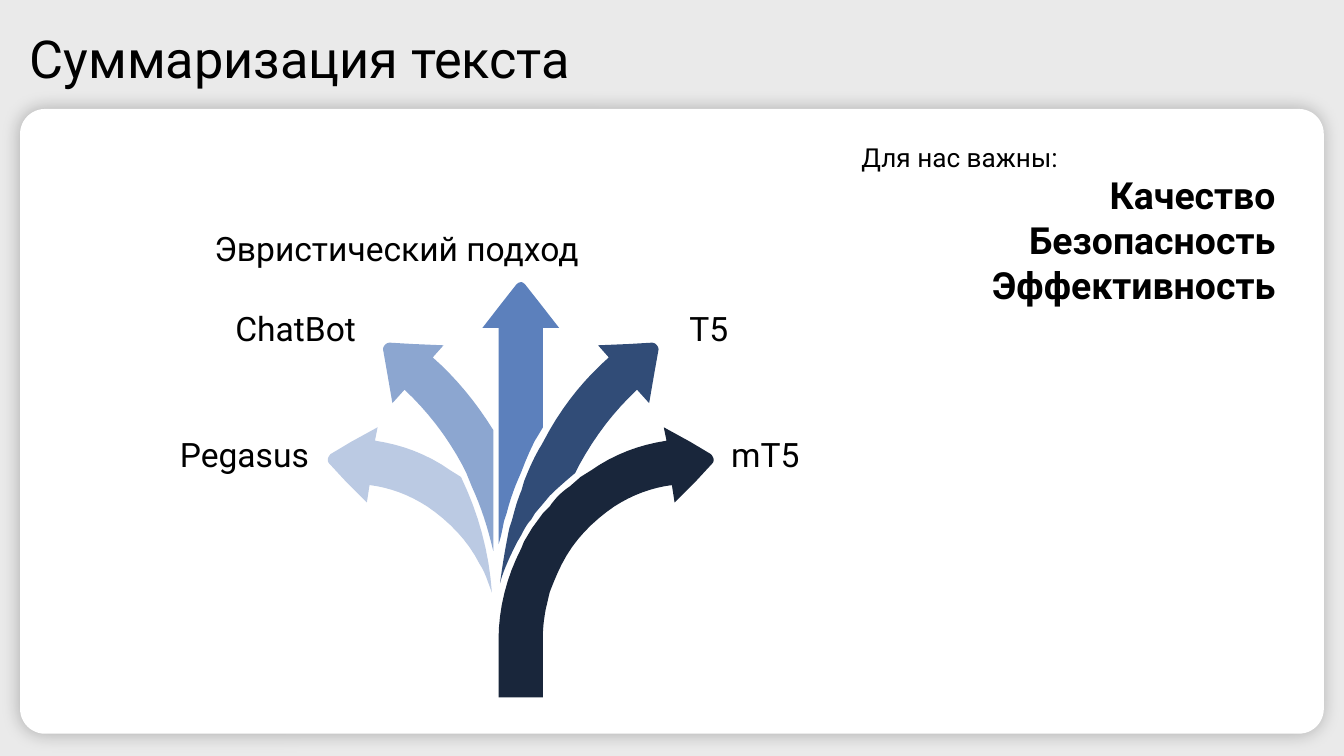
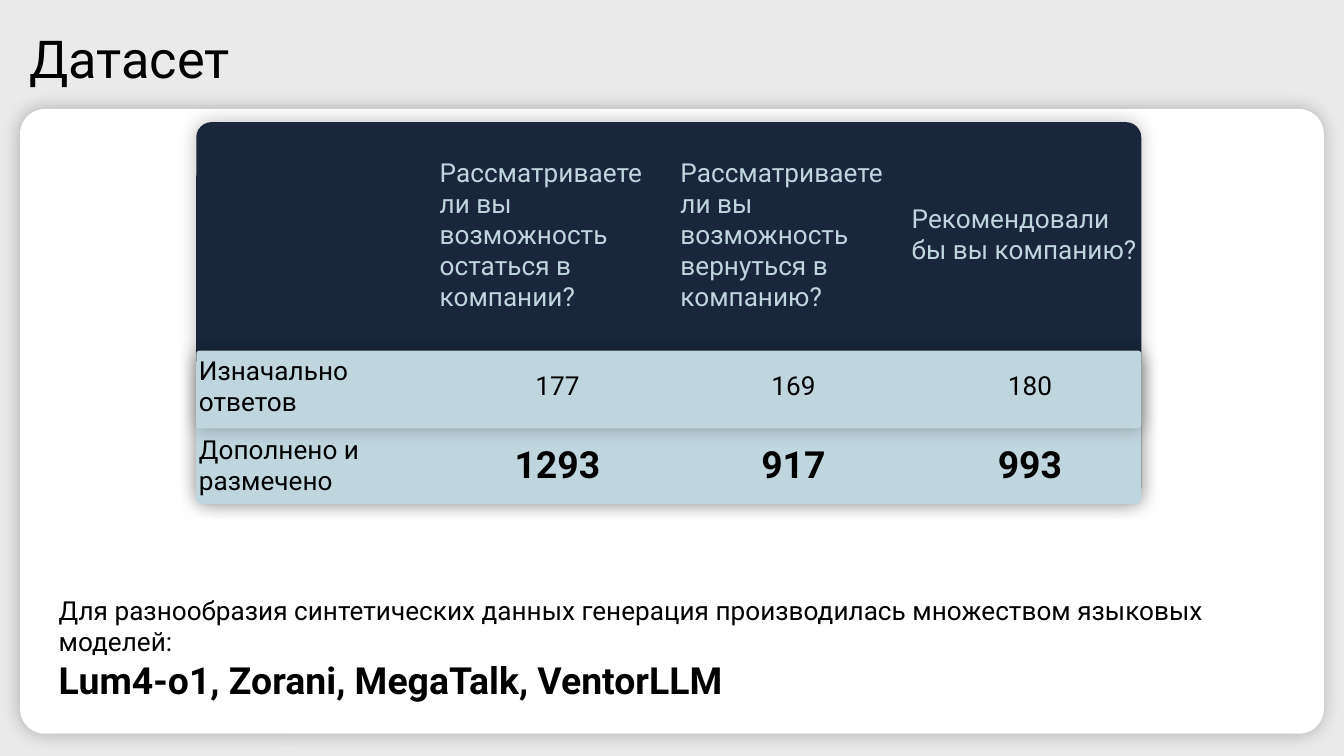
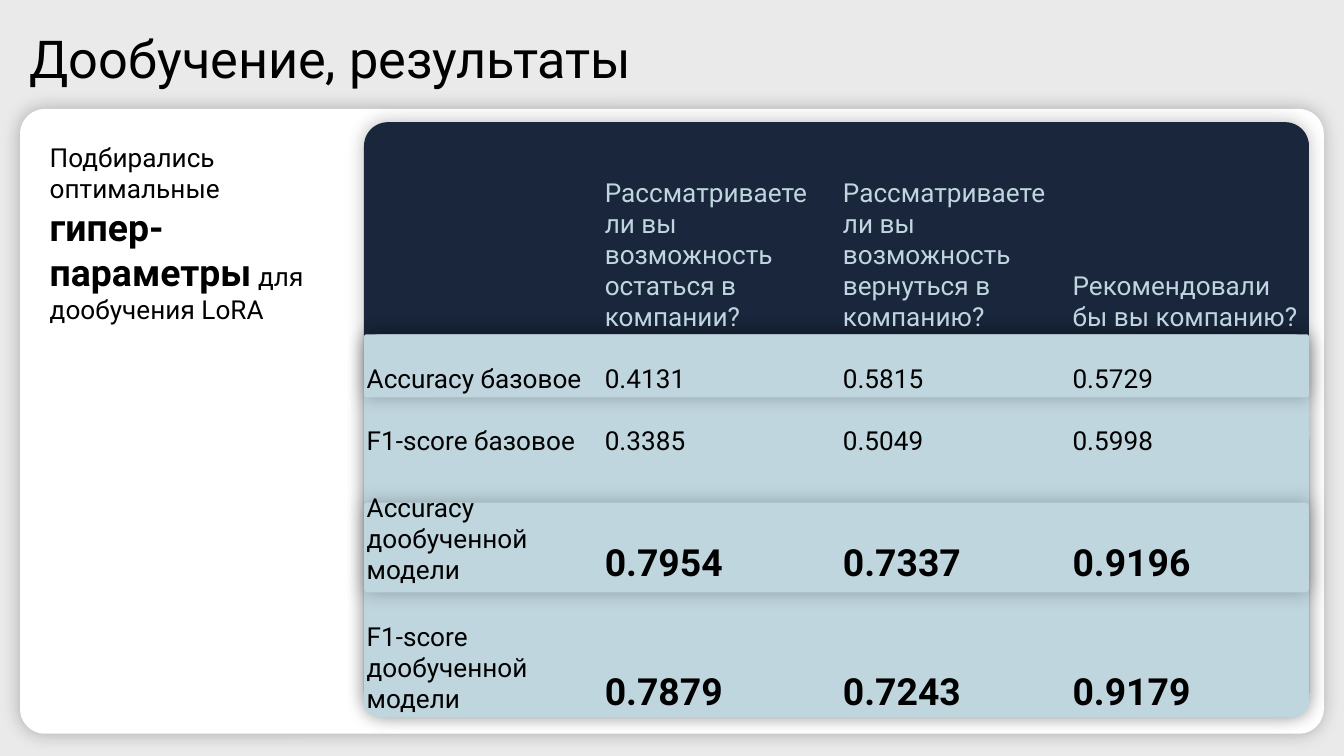
"""Builds three slides on text summarization, its data set and tuning results."""
from lxml import etree
from pptx import Presentation
from pptx.dml.color import RGBColor
from pptx.enum.shapes import MSO_SHAPE
from pptx.enum.text import MSO_ANCHOR, MSO_AUTO_SIZE, PP_ALIGN
from pptx.oxml.ns import qn
from pptx.util import Cm, Pt

LEFT, MID, RIGHT = PP_ALIGN.LEFT, PP_ALIGN.CENTER, PP_ALIGN.RIGHT
TOP, CENTER, LOW = MSO_ANCHOR.TOP, MSO_ANCHOR.MIDDLE, MSO_ANCHOR.BOTTOM
ROUND, FIXED = MSO_SHAPE.ROUNDED_RECTANGLE, MSO_AUTO_SIZE.NONE

FONT = "Roboto"
BODY, LABEL, BIG, HEAD = 14, 18, 20, 28
PLAIN_GRID = "{2D5ABB26-0587-4C30-8999-92F81FD0307C}"
INK = {"page": "EAEAEA", "card": "FFFFFF", "text": "000000", "navy": "19263B",
       "ice": "C0D6DF", "pale": "BBCAE3", "sky": "8CA6D0", "blue": "5C80BC",
       "deep": "314C77"}
CARD = (0.38, 2.06, 24.64, 11.81)
TITLE = (0.38, 0.3, 23.39, 1.73)
PANEL_WIDTH = 17.86

ASK = ["", "Рассматриваете ли вы возможность остаться в компании?",
       "Рассматриваете ли вы возможность вернуться в компанию?",
       "Рекомендовали бы вы компанию?"]

SLIDES = [
    {"title": "Суммаризация текста",
     "box": (16.03, 2.54, 8.33, 3.43),
     "note": [(LEFT, [("Для нас важны:", BODY)]),
              (RIGHT, [("Качество", BIG)]),
              (RIGHT, [("Безопасность", BIG)]),
              (RIGHT, [("Эффективность", BIG)])]},
    {"title": "Датасет",
     "box": (0.86, 11.1, 23.7, 2.31),
     "note": [(LEFT, [("Для разнообразия синтетических данных генерация "
                       "производилась множеством языковых моделей:", BODY)]),
              (LEFT, [("Lum4-o1, Zorani, MegaTalk, VentorLLM", BIG)])],
     "table": {"left": 3.71, "top": 2.34, "anchor": CENTER, "align": MID,
               "cols": [4.55, 4.55, 4.37, 4.57], "rows": [4.22, 1.5, 1.5],
               "panels": [("navy", 2.31, 7.19), ("ice", 6.76, 2.77),
                          ("ice", 6.63, 1.47)],
               "cells": [ASK,
                         ["Изначально ответов", "177", "169", "180"],
                         ["Дополнено и размечено", "1293", "917", "993"]],
               "strong": {2}}},
    {"title": "Дообучение, результаты",
     "box": (0.69, 2.54, 5.92, 4.37),
     "note": [(LEFT, [("Подбирались оптимальные ", BODY),
                      ("гипер-параметры", BIG),
                      (" для дообучения LoRA", BODY)])],
     "table": {"left": 6.88, "top": 2.31, "anchor": LOW, "align": LEFT,
               "cols": [4.5, 4.5, 4.34, 4.52],
               "rows": [4.01, 1.17, 1.17, 2.44, 2.44],
               "panels": [("navy", 2.31, 11.23), ("ice", 6.32, 7.24),
                          ("ice", 6.32, 1.19), ("ice", 9.5, 1.7)],
               "cells": [ASK,
                         ["Accuracy базовое", "0.4131", "0.5815", "0.5729"],
                         ["F1-score базовое", "0.3385", "0.5049", "0.5998"],
                         ["Accuracy дообученной модели",
                          "0.7954", "0.7337", "0.9196"],
                         ["F1-score дообученной модели",
                          "0.7879", "0.7243", "0.9179"]],
               "strong": {3, 4}}},
]

LABELS = [("Pegasus", RIGHT, (0.15, 8.08, 5.69, 1.02)),
          ("ChatBot", RIGHT, (1.4, 5.69, 5.33, 1.02)),
          ("mT5", LEFT, (13.82, 8.08, 5.33, 1.02)),
          ("T5", LEFT, (13.03, 5.69, 5.33, 1.02)),
          ("Эвристический подход", RIGHT, (3.78, 3.4, 7.16, 1.8))]

# Pairs are corners; sextuples are curves, in hundredths of 2.54 cm.
UNIT = Cm(2.54) / 100
AXIS = 387.5
WIDE = [(335, 350), (318, 338, 299, 331, 279, 328), (281, 318), (261, 329),
        (246, 338), (244, 340, 243, 343, 245, 345), (257, 358), (273, 374),
        (275, 361), (290, 363, 304, 368, 318, 377),
        (334, 388, 348, 402, 357, 420)]
STEEP = [(322, 266), (330, 257), (307, 256), (290, 255),
         (287, 255, 285, 258, 285, 260), (288, 277), (292, 300), (301, 290),
         (318, 306, 332, 324, 344, 346)]
ARROWS = [
    ("pale", WIDE, False,
     [(361, 426, 363, 433, 366, 441), (364, 411, 356, 382, 343, 355)]),
    ("sky", STEEP, False,
     [(347, 352), (349, 357), (351, 362), (358, 377, 363, 393, 367, 410),
      (367, 320), (354, 299, 339, 281, 322, 266)]),
    ("blue", [], False,
     [(371, 244), (371, 405), (373, 399, 374, 393, 375, 388), (377, 382),
      (379, 374, 382, 365, 385, 358), (388, 351),
      (391, 343, 394, 336, 398, 328), (404, 318), (404, 244), (416, 244),
      (402, 226), (391, 212), (390, 211, 389, 210, 388, 210),
      (386, 210, 385, 211, 384, 212), (373, 226), (359, 244)]),
    ("deep", STEEP, True,
     [(428, 352), (422, 357, 415, 363, 409, 369), (404, 375), (398, 382),
      (395, 387), (392, 390, 390, 394, 388, 398), (385, 403),
      (380, 413, 375, 423, 372, 434), (374, 420, 376, 407, 379, 393),
      (381, 387), (383, 379, 385, 372, 388, 365), (390, 358),
      (394, 348, 398, 339, 403, 331), (409, 320),
      (421, 299, 436, 281, 453, 266)]),
    ("navy", WIDE, True,
     [(415, 426, 412, 433, 409, 441), (406, 454), (404, 465, 404, 471, 404, 476),
      (404, 519), (371, 519), (371, 476), (371, 453, 377, 429, 388, 408),
      (390, 403), (396, 393), (404, 382), (409, 377),
      (413, 371, 418, 366, 424, 362), (432, 355)]),
]


def tint(name):
    return RGBColor.from_string(INK[name])


def place(shape, box):
    shape.left, shape.top, shape.width, shape.height = map(Cm, box)


def write(frame, paras, ink="text", space=None, plain=False):
    for i, (align, runs) in enumerate(paras):
        para = frame.paragraphs[0] if i == 0 else frame.add_paragraph()
        if plain:
            props = para._p.get_or_add_pPr()
            props.set("marL", "0")
            props.set("indent", "0")
            etree.SubElement(props, qn("a:buNone"))
            para.space_before = Pt(0)
        para.alignment = align
        if space:
            para.line_spacing = space
        for text, size in runs:
            run = para.add_run()
            run.text = text
            run.font.name, run.font.size = FONT, Pt(size)
            run.font.bold = size == BIG
            run.font.color.rgb = tint(ink)


def fit(frame, anchor, side, edge):
    frame.word_wrap, frame.auto_size = True, FIXED
    frame.vertical_anchor = anchor
    frame.margin_left = frame.margin_right = Cm(side)
    frame.margin_top = frame.margin_bottom = Cm(edge)


def paint(shape, ink):
    shape.shadow.inherit = False
    shape.fill.solid()
    shape.fill.fore_color.rgb = tint(ink)
    shape.line.fill.background()


def panel(slide, ink, box):
    shape = slide.shapes.add_shape(ROUND, *map(Cm, box))
    shape.adjustments[0] = 0.04
    paint(shape, ink)
    glow = etree.SubElement(shape._element.spPr.find(qn("a:effectLst")),
                            qn("a:outerShdw"), blurRad=str(Cm(0.35)), dist="0",
                            algn="ctr", rotWithShape="0")
    color = etree.SubElement(glow, qn("a:srgbClr"), val=INK["text"])
    etree.SubElement(color, qn("a:alpha"), val="25000")
    return shape


def trace(steps, start=None):
    dots = [start] if start else []
    for step in steps:
        if len(step) == 2:
            dots.append(step)
            continue
        ends = [dots[-1], step[:2], step[2:4], step[4:]]
        for n in range(1, 9):
            t = n / 8
            part = ((1 - t) ** 3, 3 * t * (1 - t) ** 2, 3 * t * t * (1 - t), t ** 3)
            dots.append(tuple(sum(w * e[k] for w, e in zip(part, ends))
                              for k in (0, 1)))
    return dots


def fan(slide):
    for ink, head, flip, tail in ARROWS:
        dots = trace(head)
        if flip:
            dots = [(2 * AXIS - x, y) for x, y in dots]
        dots += trace(tail, dots[-1] if dots else None)
        dots = [(x * UNIT, y * UNIT) for x, y in dots]
        pen = slide.shapes.build_freeform(*dots[0])
        pen.add_line_segments(dots[1:], close=True)
        paint(pen.convert_to_shape(), ink)
    for text, align, box in LABELS:
        frame = slide.shapes.add_textbox(*map(Cm, box)).text_frame
        fit(frame, LOW, 0, 0.13)
        write(frame, [(align, [(text, LABEL)])])


def grid(slide, data):
    left, cols, rows = data["left"], data["cols"], data["rows"]
    for ink, top, height in data["panels"]:
        panel(slide, ink, (left, top, PANEL_WIDTH, height))
    box = (left, data["top"], sum(cols), sum(rows))
    table = slide.shapes.add_table(len(rows), len(cols), *map(Cm, box)).table
    table.first_row = table.horz_banding = False
    table._tbl.tblPr.find(qn("a:tableStyleId")).text = PLAIN_GRID
    for col, width in zip(table.columns, cols):
        col.width = Cm(width)
    for r, (height, line) in enumerate(zip(rows, data["cells"])):
        table.rows[r].height = Cm(height)
        for c, text in enumerate(line):
            cell = table.cell(r, c)
            cell.fill.background()
            cell.vertical_anchor = data["anchor"]
            cell.margin_left = cell.margin_right = Cm(0.05)
            cell.margin_top = cell.margin_bottom = Cm(0.03)
            size = BIG if c and r in data["strong"] else BODY
            align = data["align"] if r and c else LEFT
            if text:
                write(cell.text_frame, [(align, [(text, size)])],
                      ink="text" if r else "ice")


def main():
    deck = Presentation()
    deck.slide_width, deck.slide_height = Cm(25.4), Cm(14.29)
    for page in SLIDES:
        slide = deck.slides.add_slide(deck.slide_layouts[1])
        slide.background.fill.solid()
        slide.background.fill.fore_color.rgb = tint("page")
        card = panel(slide, "card", CARD)
        slide.shapes._spTree.insert(2, card._element)
        title, note = slide.shapes.title, slide.placeholders[1]
        place(title, TITLE)
        fit(title.text_frame, CENTER, 0.18, 0.1)
        write(title.text_frame, [(LEFT, [(page["title"], HEAD)])], space=0.9)
        place(note, page["box"])
        fit(note.text_frame, TOP, 0.25, 0.13)
        write(note.text_frame, page["note"], plain=True)
        if "table" in page:
            grid(slide, page["table"])
        else:
            fan(slide)
    deck.save("out.pptx")


if __name__ == "__main__":
    main()
